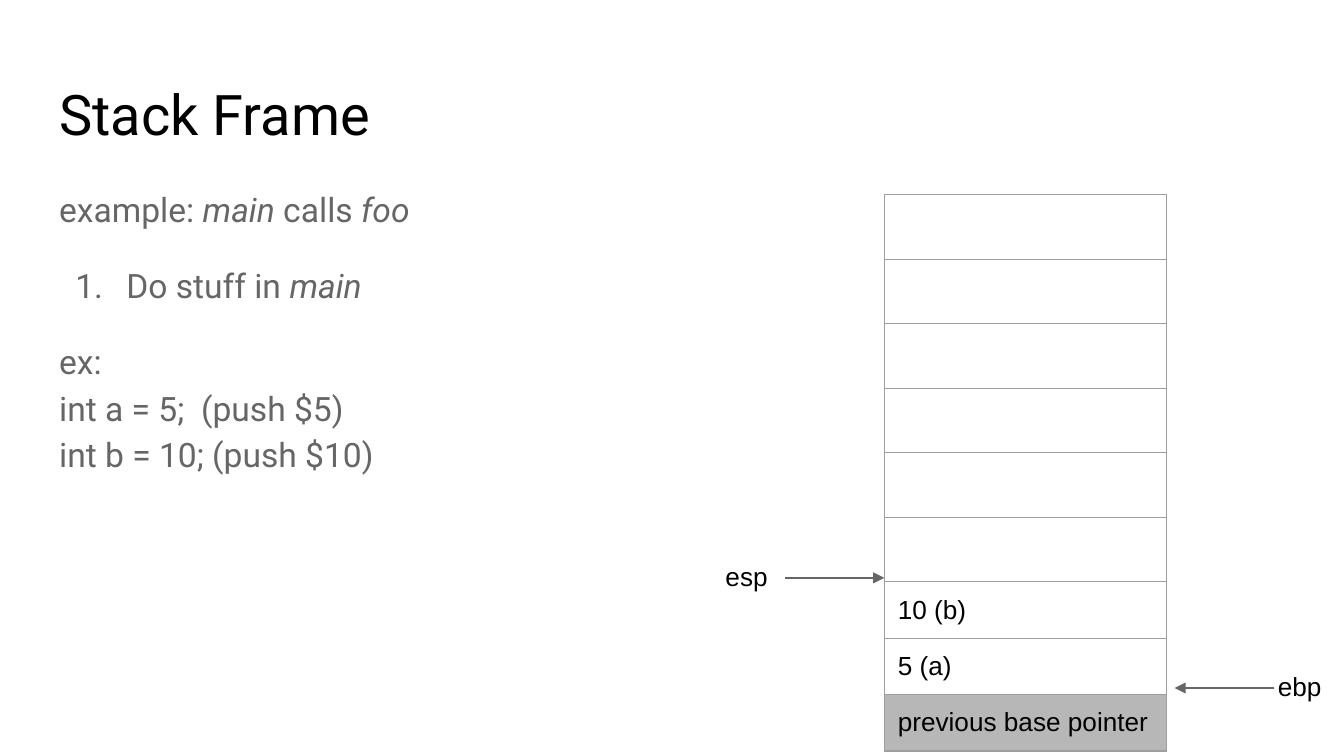
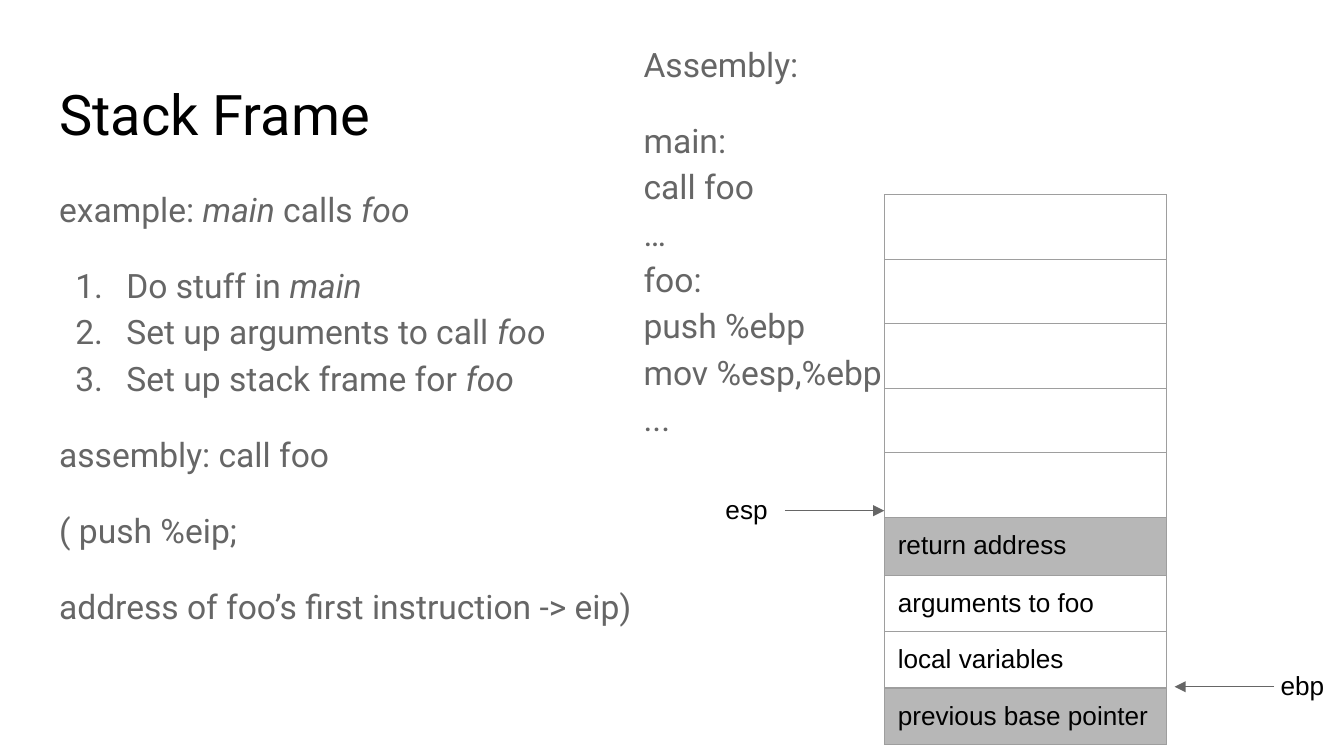
from dataclasses import dataclass

from lxml.etree import SubElement
from pptx import Presentation
from pptx.dml.color import RGBColor
from pptx.enum.shapes import MSO_CONNECTOR as Connector
from pptx.enum.text import MSO_ANCHOR as Anchor, MSO_AUTO_SIZE as AutoSize, PP_ALIGN as Align
from pptx.oxml.ns import qn
from pptx.util import Inches, Pt

BLACK, GRAY, BORDER, SHADE = "000000", "666666", "9E9E9E", "B7B7B7"
TITLE = {"name": "Roboto", "size": Pt(30), "color": BLACK}
PROSE = {"name": "Roboto", "size": Pt(18), "color": GRAY}
LABEL = {"name": "Arial", "size": Pt(14), "color": BLACK}

TITLE_BOX = (0.34, 0.49, 9.32, 0.63)
STEPS_BOX = (0.34, 1.26, 9.32, 3.74)
ASSEMBLY_BOX = (4.69, 0.13, 3.28, 3.28)
STACK_LEFT, STACK_TOP, STACK_WIDTH = 6.58, 1.45, 2.1
FREE_HEIGHT = 0.48
USED_HEIGHTS = [0.43] * 6 + [0.42] * 3
ARROW_LENGTH = 0.74
SHADED = ("return address", "previous base pointer")


@dataclass
class Line:
    text: str
    before: int = 0
    after: int = 0
    numbered: bool = False


INTRO = [Line("example: *main* calls *foo*"),
         Line("Do stuff in *main*", before=16, numbered=True)]


def color(value):
    return RGBColor.from_string(value)


def place(shape, box):
    for side, length in zip(("left", "top", "width", "height"), box):
        setattr(shape, side, Inches(length))


def set_margins(holder):
    for side in ("left", "top", "right", "bottom"):
        setattr(holder, f"margin_{side}", Inches(0.1))


def style_run(run, style, italic=False):
    for attribute, value in style.items():
        if attribute == "color":
            run.font.color.rgb = color(value)
        else:
            setattr(run.font, attribute, value)
    if italic:
        run.font.italic = True


def number_paragraph(paragraph, numbered):
    props = paragraph._p.get_or_add_pPr()
    props.set("marL", str(Inches(0.5 if numbered else 0)))
    props.set("indent", str(Inches(-0.38 if numbered else 0)))
    if numbered:
        bullet_color = SubElement(props, qn("a:buClr"))
        SubElement(bullet_color, qn("a:srgbClr"), val=GRAY)
        SubElement(props, qn("a:buFont"), typeface=PROSE["name"])
        SubElement(props, qn("a:buAutoNum"), type="arabicPeriod")
    else:
        SubElement(props, qn("a:buNone"))


def write(shape, lines, style, spacing=1.0, anchor=Anchor.TOP):
    frame = shape.text_frame
    set_margins(frame)
    for attribute, value in {"word_wrap": True, "auto_size": AutoSize.NONE,
                             "vertical_anchor": anchor}.items():
        setattr(frame, attribute, value)
    for index, line in enumerate(lines):
        paragraph = frame.add_paragraph() if index else frame.paragraphs[0]
        number_paragraph(paragraph, line.numbered)
        for attribute, value in {"alignment": Align.LEFT, "line_spacing": spacing,
                                 "space_before": Pt(line.before),
                                 "space_after": Pt(line.after)}.items():
            setattr(paragraph, attribute, value)
        for part, words in enumerate(line.text.split("*")):
            for row, piece in enumerate(words.split("\n")):
                if row:
                    paragraph.add_line_break()
                if piece:
                    run = paragraph.add_run()
                    run.text = piece
                    style_run(run, style, italic=part % 2 == 1)


def add_prose(slide, box, lines, style=PROSE, spacing=1.0, anchor=Anchor.TOP):
    prose = slide.shapes.add_textbox(*map(Inches, box))
    write(prose, lines, style, spacing, anchor)


def border_cell(cell):
    props = cell._tc.get_or_add_tcPr()
    for side in ("lnL", "lnR", "lnT", "lnB"):
        edge = SubElement(props, qn(f"a:{side}"), w=str(Pt(0.75)))
        SubElement(SubElement(edge, qn("a:solidFill")), qn("a:srgbClr"), val=BORDER)


def add_stack(slide, left, top, entries):
    free = len(USED_HEIGHTS) - len(entries)
    heights = [FREE_HEIGHT] * free + USED_HEIGHTS[free:]
    stack = slide.shapes.add_table(len(heights), 1, Inches(left), Inches(top),
                                   Inches(STACK_WIDTH), Inches(sum(heights))).table
    stack.first_row = stack.horz_banding = False
    for row, height, entry in zip(stack.rows, heights, [""] * free + entries):
        row.height = Inches(height)
        cell = row.cells[0]
        border_cell(cell)
        if entry in SHADED:
            cell.fill.solid()
            cell.fill.fore_color.rgb = color(SHADE)
        else:
            cell.fill.background()
        if entry:
            set_margins(cell)
            run = cell.text_frame.paragraphs[0].add_run()
            run.text = entry
            style_run(run, LABEL)


def add_pointer(slide, register, label_left, start, end, y):
    arrow = slide.shapes.add_connector(Connector.STRAIGHT, Inches(start), Inches(y),
                                       Inches(end), Inches(y))
    arrow.line.color.rgb = color(GRAY)
    arrow.line.width = Pt(0.75)
    props = arrow._element.spPr
    SubElement(props.find(qn("a:ln")), qn("a:tailEnd"), type="triangle")
    SubElement(props, qn("a:effectLst"))
    add_prose(slide, (label_left, y - 0.23, 1.13, 0.46), [Line(register)], LABEL)


def add_frame_slide(deck, steps, entries, esp_y, ebp_y, ebp_left):
    slide = deck.slides.add_slide(deck.slide_layouts[1])
    heading, body = slide.shapes.title, slide.placeholders[1]
    place(heading, TITLE_BOX)
    write(heading, [Line("Stack Frame")], TITLE)
    place(body, STEPS_BOX)
    write(body, INTRO + steps, PROSE, 1.15)
    add_stack(slide, STACK_LEFT, STACK_TOP, entries)
    add_pointer(slide, "esp", 5.3, STACK_LEFT - ARROW_LENGTH, STACK_LEFT, esp_y)
    ebp_tip = STACK_LEFT + STACK_WIDTH + 0.06
    add_pointer(slide, "ebp", ebp_left, ebp_tip + ARROW_LENGTH, ebp_tip, ebp_y)
    return slide


def main():
    deck = Presentation()
    deck.slide_width = Inches(10)
    deck.slide_height = deck.slide_width * 9 // 16

    add_frame_slide(
        deck,
        [Line("ex:\nint a = 5;  (push $5)\nint b = 10; (push $10)", before=16, after=16)],
        ["10 (b)", "5 (a)", "previous base pointer"],
        esp_y=4.3, ebp_y=5.12, ebp_left=9.41)

    calling = add_frame_slide(
        deck,
        [Line("Set up arguments to call *foo*", numbered=True),
         Line("Set up stack frame for *foo*", numbered=True),
         Line("assembly: call foo", before=16),
         Line("( push %eip;", before=16),
         Line("address of foo’s first instruction -> eip)", before=16, after=16)],
        ["return address", "arguments to foo", "local variables", "previous base pointer"],
        esp_y=3.8, ebp_y=5.11, ebp_left=9.43)
    add_prose(
        calling, ASSEMBLY_BOX,
        [Line("Assembly:"),
         Line("main:\ncall foo\n…\nfoo:\npush %ebp\nmov %esp,%ebp\n...", before=16, after=16)],
        spacing=1.15, anchor=Anchor.MIDDLE)

    deck.save("out.pptx")


if __name__ == "__main__":
    main()
